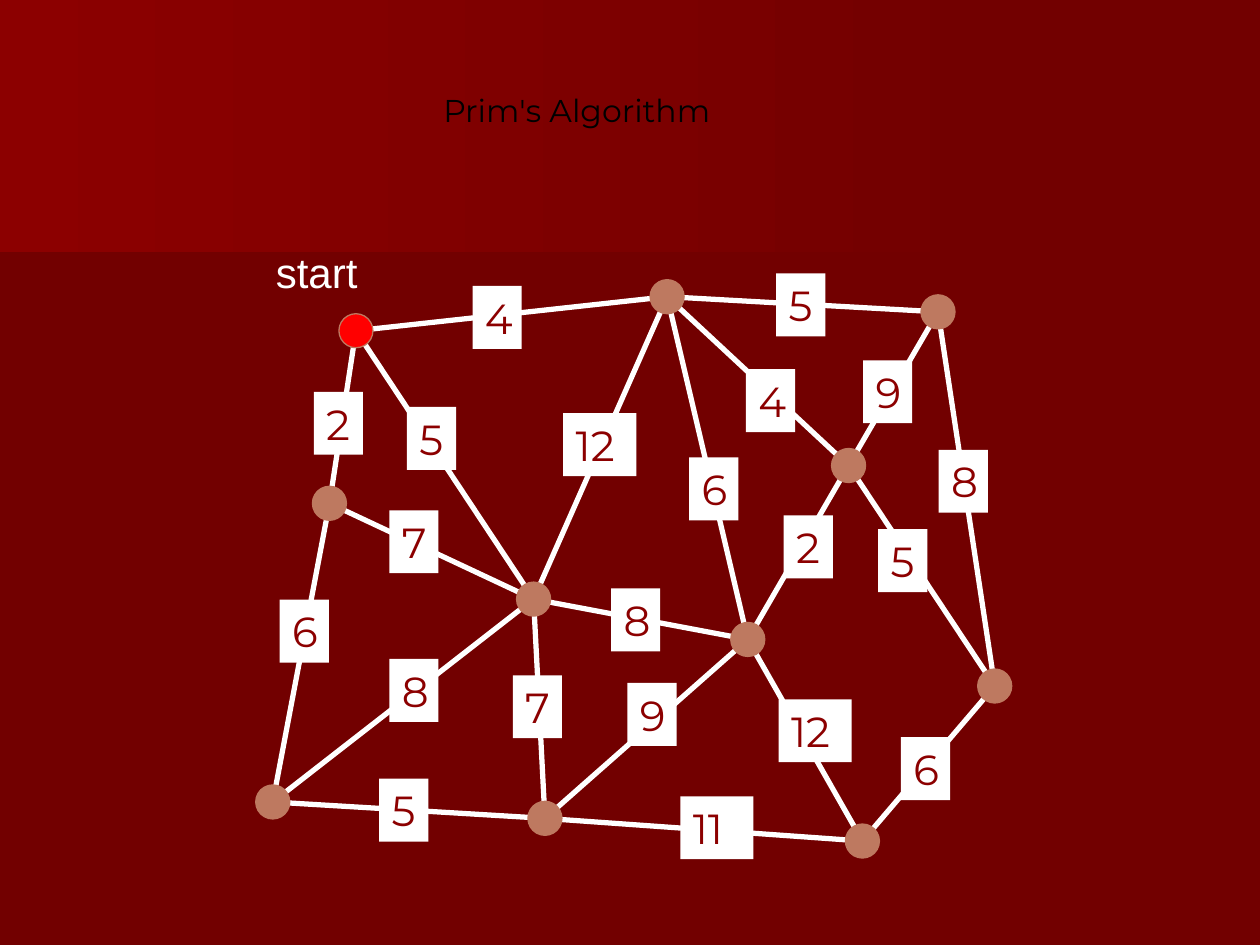
import pptx
import pptx.util
import pptx.dml.color
import pptx.enum.shapes
import pptx.enum.text
from pptx.util import Inches, Pt
from pptx.dml.color import RGBColor
from lxml import etree

BACKGROUND = RGBColor(0x72, 0x00, 0x00)
BAND_SHADE = RGBColor(0x6B, 0x00, 0x00)
DARK_RED = RGBColor(0x8C, 0x00, 0x00)
START_RED = RGBColor(0xFF, 0x00, 0x00)
NODE_BROWN = RGBColor(0xBE, 0x79, 0x60)
WHITE = RGBColor(0xFF, 0xFF, 0xFF)
BLACK = RGBColor(0x00, 0x00, 0x00)

NODE_SIZE = 0.27
LABEL_HEIGHT = 0.5
LABEL_WIDTHS = {1: 0.39, 2: 0.58}

BANDS = [
    (BAND_SHADE, [(7.78, 1.53), (0, 2.17), (0, 1.01), (7.79, 1.01), (7.78, 1.28)]),
    (DARK_RED, [(7.92, 1.62), (0, 2.08), (0, 0), (7.92, 0)]),
]

START = "A"
NODES = {
    "A": (2.69, 2.49),
    "B": (5.16, 2.22),
    "C": (7.31, 2.34),
    "D": (2.48, 3.86),
    "E": (6.6, 3.56),
    "F": (4.1, 4.62),
    "G": (5.8, 4.94),
    "H": (7.76, 5.31),
    "I": (2.03, 6.23),
    "J": (4.19, 6.36),
    "K": (6.71, 6.54),
}

EDGES = [
    ("J", "F", 7, (4.07, 5.36)),
    ("G", "E", 2, (6.22, 4.09)),
    ("I", "D", 6, (2.22, 4.76)),
    ("F", "A", 5, (3.23, 3.23)),
    ("K", "G", 12, (6.18, 5.55)),
    ("C", "B", 5, (6.16, 2.17)),
    ("H", "E", 5, (6.97, 4.2)),
    ("J", "K", 11, (5.4, 6.32)),
    ("J", "G", 9, (4.98, 5.42)),
    ("F", "D", 7, (3.09, 4.05)),
    ("D", "A", 2, (2.49, 3.11)),
    ("K", "H", 6, (7.15, 5.85)),
    ("B", "F", 12, (4.47, 3.28)),
    ("I", "J", 5, (3.01, 6.18)),
    ("G", "F", 8, (4.85, 4.67)),
    ("E", "B", 4, (5.92, 2.93)),
    ("E", "C", 9, (6.85, 2.86)),
    ("A", "B", 4, (3.75, 2.27)),
    ("I", "F", 8, (3.09, 5.23)),
    ("G", "B", 6, (5.47, 3.63)),
    ("H", "C", 8, (7.45, 3.57)),
]


def add_band(slide, start_color, points):
    builder = slide.shapes.build_freeform(*points[0], scale=Inches(1))
    builder.add_line_segments(points[1:], close=True)
    band = builder.convert_to_shape()
    band.shadow.inherit = False
    band.line.fill.background()
    band.fill.gradient()
    band.fill.gradient_angle = 0
    for stop, color, position in zip(band.fill.gradient_stops, (start_color, BACKGROUND), (0, 1)):
        stop.color.rgb = color
        stop.position = position


def center(name):
    return [Inches(edge + NODE_SIZE / 2) for edge in NODES[name]]


def add_edge(slide, first, second):
    edge = slide.shapes.add_connector(
        pptx.enum.shapes.MSO_CONNECTOR.STRAIGHT, *center(first), *center(second))
    edge.line.color.rgb = WHITE
    edge.line.width = Pt(3)
    etree.SubElement(edge._element.spPr, pptx.oxml.ns.qn("a:effectLst"))


def add_node(slide, name):
    left, top = NODES[name]
    node = slide.shapes.add_shape(
        pptx.enum.shapes.MSO_SHAPE.OVAL,
        Inches(left), Inches(top), Inches(NODE_SIZE), Inches(NODE_SIZE))
    node.shadow.inherit = False
    node.fill.solid()
    node.fill.fore_color.rgb = START_RED if name == START else NODE_BROWN
    node.line.color.rgb = NODE_BROWN
    node.line.width = Pt(0.75)


def add_text(slide, text, box, size, font_name, color, grow=True):
    label = slide.shapes.add_textbox(*map(Inches, box))
    frame = label.text_frame
    frame.word_wrap = False
    if grow:
        frame.auto_size = pptx.enum.text.MSO_AUTO_SIZE.SHAPE_TO_FIT_TEXT
    paragraph = frame.paragraphs[0]
    paragraph.text = text
    paragraph.font.size = Pt(size)
    paragraph.font.name = font_name
    paragraph.font.color.rgb = color
    return label


def main():
    deck = pptx.Presentation()
    deck.slide_width, deck.slide_height = Inches(10), Inches(7.5)
    slide = deck.slides.add_slide(deck.slide_layouts[6])
    slide.background.fill.solid()
    slide.background.fill.fore_color.rgb = BACKGROUND

    for start_color, points in BANDS:
        add_band(slide, start_color, points)
    for first, second, _, _ in EDGES:
        add_edge(slide, first, second)
    for name in NODES:
        add_node(slide, name)
    for _, _, weight, corner in EDGES:
        text = str(weight)
        box = (*corner, LABEL_WIDTHS[len(text)], LABEL_HEIGHT)
        label = add_text(slide, text, box, 24, "Montserrat", DARK_RED)
        label.fill.solid()
        label.fill.fore_color.rgb = WHITE

    add_text(slide, "start", (2.09, 1.91, 0.85, 0.5), 24, "Arial", WHITE)
    add_text(slide, "Prim's Algorithm", (3.42, 0.67, 3.08, 0.58), 18, "Montserrat", BLACK, grow=False)
    deck.save("out.pptx")


if __name__ == "__main__":
    main()
